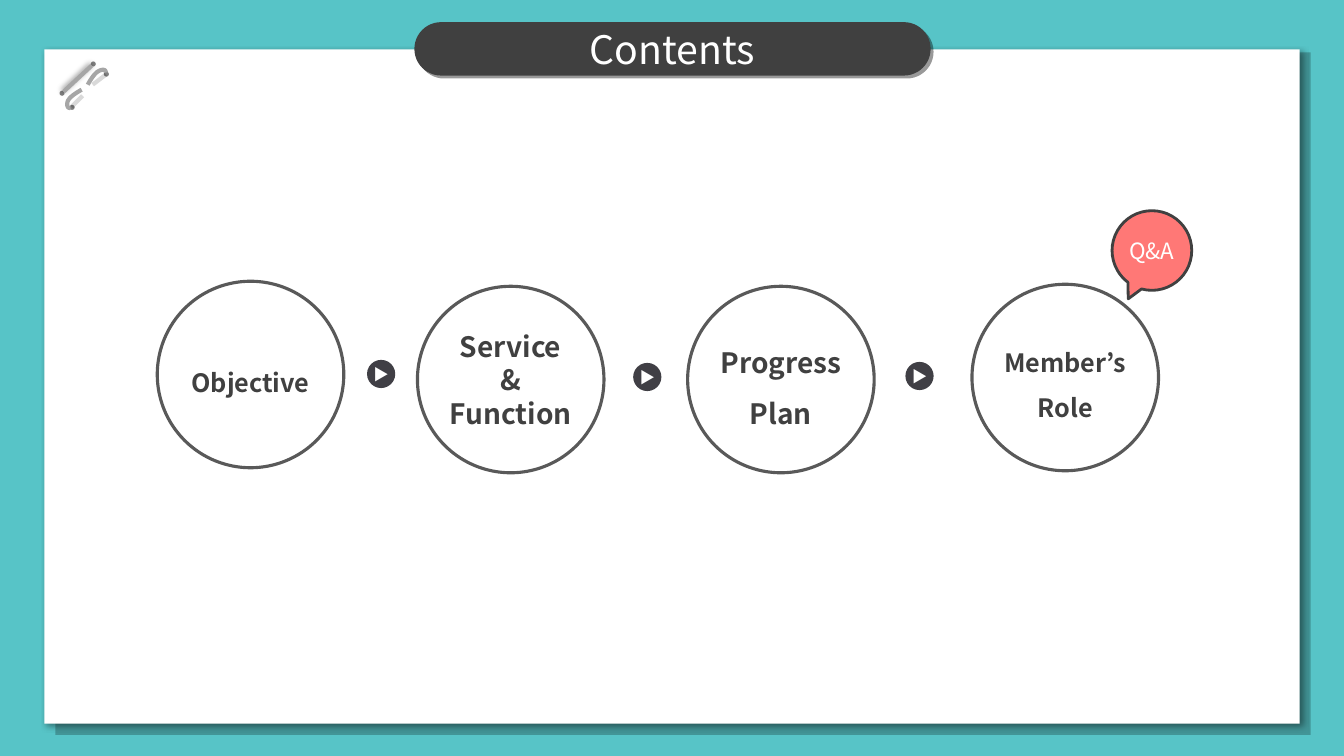
from lxml.etree import SubElement
from pptx import Presentation
from pptx.dml.color import RGBColor
from pptx.enum.shapes import MSO_CONNECTOR, MSO_SHAPE
from pptx.enum.text import MSO_ANCHOR, PP_ALIGN
from pptx.oxml.ns import qn
from pptx.util import Inches, Pt

TEAL = RGBColor(0x57, 0xC4, 0xC7)
BLACK = RGBColor(0, 0, 0)
WHITE = RGBColor(0xFF, 0xFF, 0xFF)
CHARCOAL = RGBColor(0x40, 0x40, 0x40)
BADGE = RGBColor(0x40, 0x3F, 0x45)
OUTLINE = RGBColor(0x59, 0x59, 0x59)
PIN = RGBColor(0x80, 0x80, 0x80)
CLIP = RGBColor(0xA6, 0xA6, 0xA6)
CORAL = RGBColor(0xFF, 0x78, 0x76)
FONT = "Noto Sans CJK KR"

TITLE = "Contents"
TITLE_BOX = (4.11, 0.22, 5.12, 0.53)
CARD_BOX = (0.44, 0.49, 12.45, 6.69)
CARD_SHADE_BOX = (0.55, 0.52, 12.45, 6.77)

STEP_SIZE, ARROW_SIZE, PIN_SIZE = 1.85, 0.28, 0.05
STEPS = [  # left, top, lines, text size, line spacing
    (1.56, 2.79, ["Objective"], 18, 1.5),
    (4.14, 2.84, ["Service", "&", "Function"], 20, 1),
    (6.82, 2.84, ["Progress", "Plan"], 20, 1.5),
    (9.64, 2.82, ["Member’s", "Role"], 18, 1.5),
]
ARROWS = [(3.64, 3.57), (6.28, 3.6), (8.98, 3.59)]
QUESTION = "Q&A"
QUESTION_BOX = (11.03, 2.09, 0.79, 0.79)

# Paper clip in the corner
PINS = [(0.9, 0.61), (0.59, 0.9), (1.03, 0.71), (0.69, 1.04)]
CLIP_BAR = (0.91, 0.65, 0.63, 0.91)
CLIP_SHADES = [(1.05, 0.74, 0.92, 0.84), (0.82, 0.95, 0.71, 1.06)]
CLIP_CURVES = [  # start point, then Bezier segments of three points
    [(1.05, 0.72), (1.05, 0.68), (1, 0.69), (0.97, 0.71),
     (0.94, 0.73), (0.91, 0.77), (0.87, 0.84)],
    [(0.7, 1.07), (0.66, 1.08), (0.66, 1.02), (0.68, 0.99),
     (0.7, 0.96), (0.74, 0.93), (0.81, 0.89)],
]


def set_alpha(color_parent, percent):
    color = color_parent.find(".//" + qn("a:srgbClr"))
    SubElement(color, qn("a:alpha"), val=str(percent * 1000))


def add_shadow(shape, blur, distance, angle):
    properties = shape._element.spPr
    for old in properties.findall(qn("a:effectLst")):
        properties.remove(old)
    effects = SubElement(properties, qn("a:effectLst"))
    if distance:
        outer = SubElement(effects, qn("a:outerShdw"), blurRad=str(Pt(blur)),
                           dist=str(Pt(distance)), dir=str(angle * 60000),
                           algn="ctr", rotWithShape="0")
        SubElement(outer, qn("a:srgbClr"), val="000000")
        set_alpha(outer, 40)


def add_block(kind, box, fill, line=None, width=0):
    shape = slide.shapes.add_shape(kind, *map(Inches, box))
    shape.shadow.inherit = False
    shape.fill.solid()
    shape.fill.fore_color.rgb = fill
    if line is None:
        shape.line.fill.background()
    else:
        shape.line.color.rgb = line
        shape.line.width = Pt(width)
    return shape


def write(shape, lines, size, color, bold=False, spacing=1, wrap=False):
    frame = shape.text_frame
    frame_format = dict(word_wrap=wrap, vertical_anchor=MSO_ANCHOR.MIDDLE,
                        margin_left=0, margin_right=0, margin_top=0, margin_bottom=0)
    for name, value in frame_format.items():
        setattr(frame, name, value)
    frame.text = "\n".join(lines)
    for paragraph in frame.paragraphs:
        paragraph.alignment = PP_ALIGN.CENTER
        paragraph.line_spacing = spacing
        for run in paragraph.runs:
            for name, value in dict(name=FONT, size=Pt(size), bold=bold).items():
                setattr(run.font, name, value)
            run.font.color.rgb = color
            SubElement(run.font._element, qn("a:ea"), typeface=FONT)


def add_line(ends, color):
    line = slide.shapes.add_connector(MSO_CONNECTOR.STRAIGHT, *map(Inches, ends))
    line.line.color.rgb = color
    line.line.width = Pt(3)
    add_shadow(line, 0, 0, 0)
    return line


def bezier(points, steps=12):
    """Yield points along joined cubic segments, without the start point."""
    for first in range(0, len(points) - 1, 3):
        segment = points[first:first + 4]
        for step in range(1, steps + 1):
            t = step / steps
            weights = ((1 - t) ** 3, 3 * t * (1 - t) ** 2, 3 * t * t * (1 - t), t ** 3)
            yield tuple(Inches(sum(w * p[axis] for w, p in zip(weights, segment)))
                        for axis in (0, 1))


presentation = Presentation()
presentation.slide_width, presentation.slide_height = Inches(13.33), Inches(7.5)
slide = presentation.slides.add_slide(presentation.slide_layouts[5])
slide.background.fill.solid()
slide.background.fill.fore_color.rgb = TEAL

card_shade = add_block(MSO_SHAPE.RECTANGLE, CARD_SHADE_BOX, BLACK)
set_alpha(card_shade._element.spPr, 24)
card = add_block(MSO_SHAPE.RECTANGLE, CARD_BOX, WHITE)
add_shadow(card, 4, 3, 45)

for left, top in PINS:
    add_block(MSO_SHAPE.OVAL, (left, top, PIN_SIZE, PIN_SIZE), PIN)
add_shadow(add_line(CLIP_BAR, CLIP), 4, 1, 225)
for ends in CLIP_SHADES:
    set_alpha(add_line(ends, BLACK)._element.spPr, 14)
for points in CLIP_CURVES:
    builder = slide.shapes.build_freeform(*map(Inches, points[0]))
    builder.add_line_segments(bezier(points), close=False)
    curve = builder.convert_to_shape()
    curve.shadow.inherit = False
    curve.fill.background()
    curve.line.color.rgb = CLIP
    curve.line.width = Pt(3)

pill = add_block(MSO_SHAPE.ROUNDED_RECTANGLE, TITLE_BOX, CHARCOAL)
pill.adjustments[0] = 0.5
add_shadow(pill, 0, 3, 45)
title = slide.shapes.title
title.left, title.top, title.width, title.height = map(Inches, TITLE_BOX)
write(title, [TITLE], 28, WHITE, wrap=True)
slide.shapes._spTree.append(title._element)  # bring in front of the pill

for left, top, lines, size, spacing in STEPS:
    step = add_block(MSO_SHAPE.OVAL, (left, top, STEP_SIZE, STEP_SIZE), WHITE, OUTLINE, 2.25)
    write(step, lines, size, CHARCOAL, bold=True, spacing=spacing)
for left, top in ARROWS:
    arrow = add_block(MSO_SHAPE.OVAL, (left, top, ARROW_SIZE, ARROW_SIZE), BADGE)
    write(arrow, ["▶"], 11, WHITE, bold=True)

question = add_block(MSO_SHAPE.OVAL_CALLOUT, QUESTION_BOX, CORAL, CHARCOAL, 2)
question.adjustments[0], question.adjustments[1] = -0.297, 0.607
write(question, [QUESTION], 16, WHITE)

presentation.save("out.pptx")
